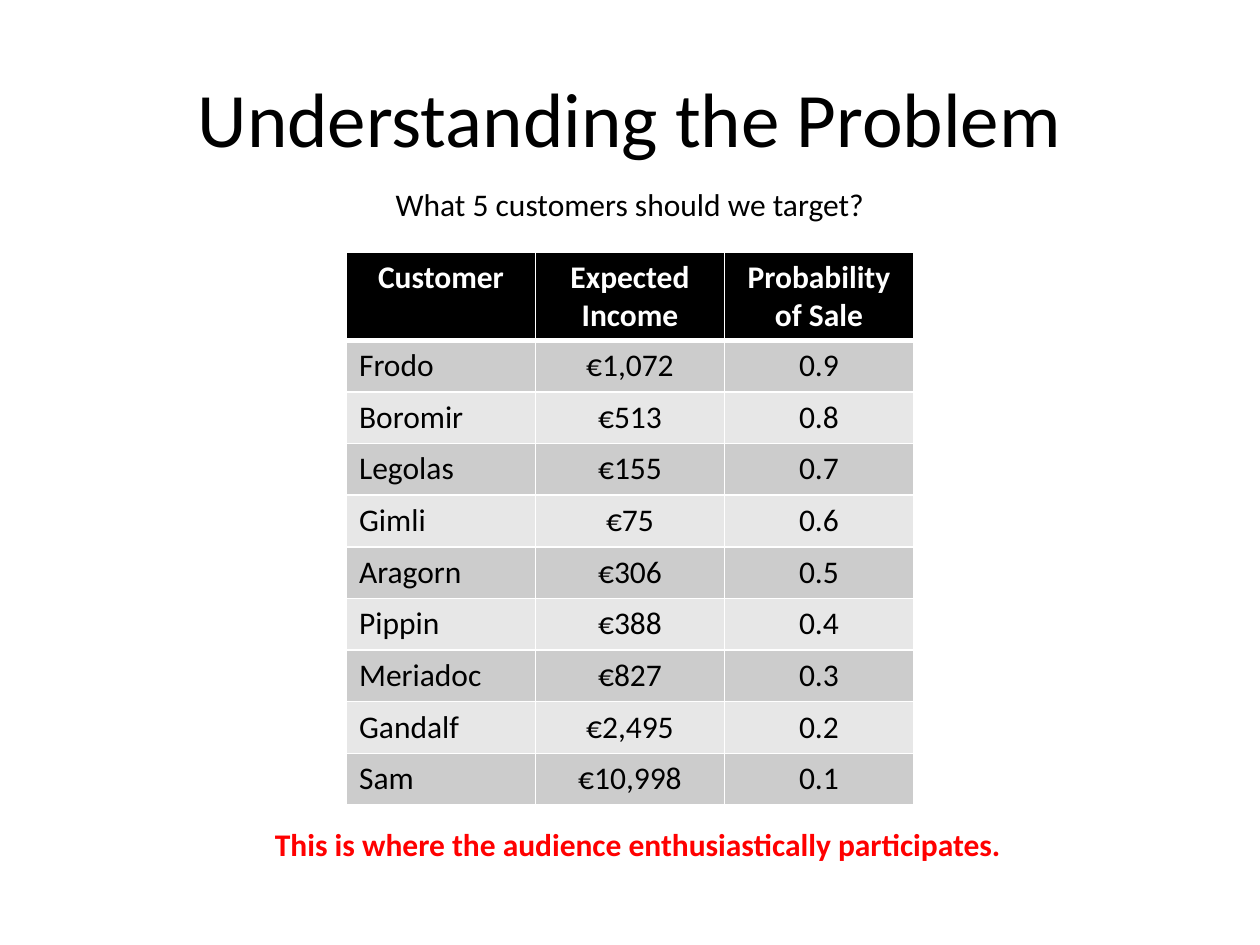
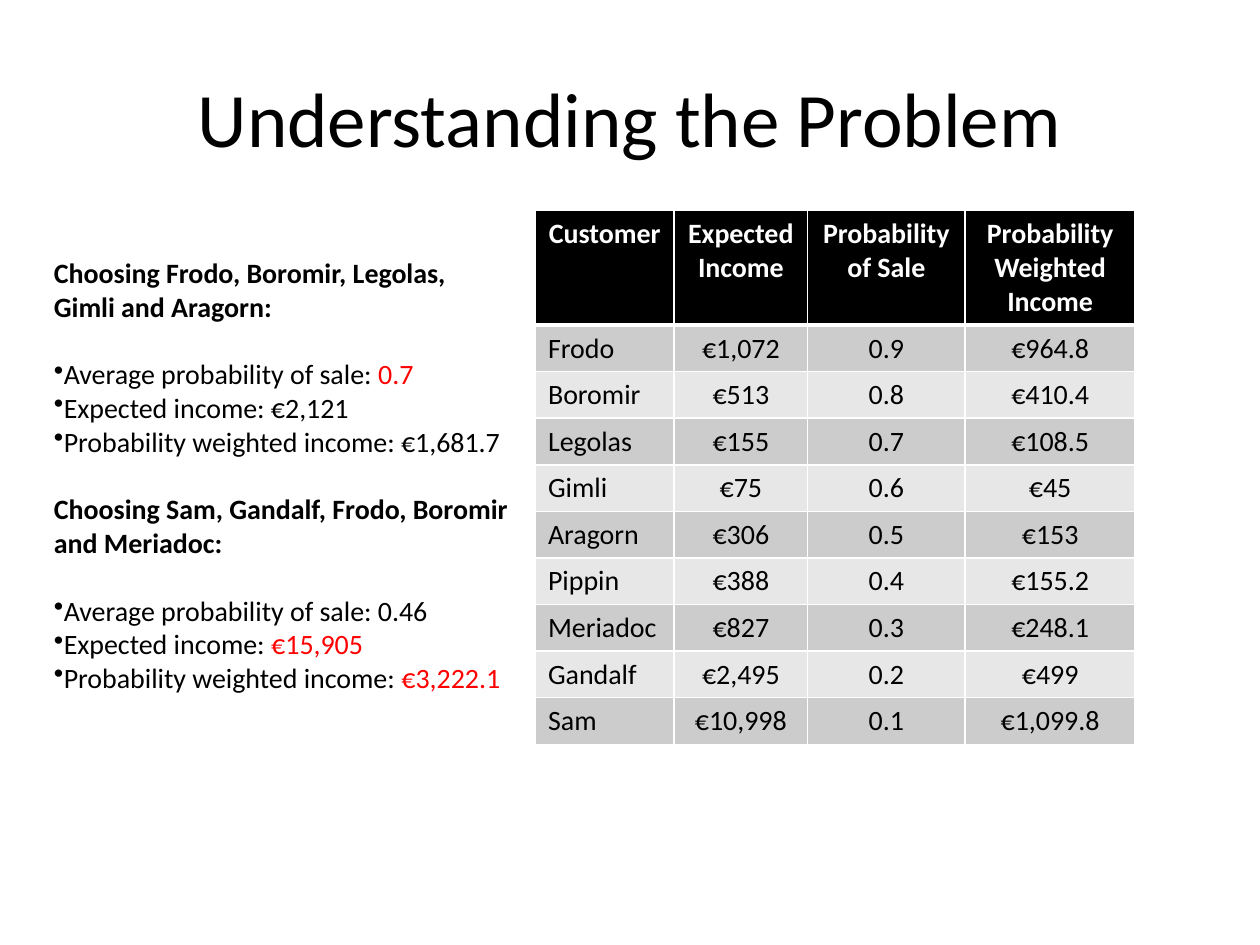
from lxml import etree
from pptx import Presentation
from pptx.dml.color import RGBColor
from pptx.enum.text import MSO_ANCHOR, PP_ALIGN
from pptx.oxml.ns import qn
from pptx.util import Inches, Pt

FONT = "Calibri"
BLACK, WHITE, RED = "000000", "FFFFFF", "FF0000"
BANDS = ("CCCCCC", "E7E7E7")
TITLE = "Understanding the Problem"
QUESTION = "What 5 customers should we target?"
PROMPT = "This is where the audience enthusiastically participates."

HEADINGS = ("Customer", "Expected Income", "Probability of Sale",
            "Probability Weighted Income")
CUSTOMERS = [
    ("Frodo", "€1,072", "0.9", "€964.8"),
    ("Boromir", "€513", "0.8", "€410.4"),
    ("Legolas", "€155", "0.7", "€108.5"),
    ("Gimli", "€75", "0.6", "€45"),
    ("Aragorn", "€306", "0.5", "€153"),
    ("Pippin", "€388", "0.4", "€155.2"),
    ("Meriadoc", "€827", "0.3", "€248.1"),
    ("Gandalf", "€2,495", "0.2", "€499"),
    ("Sam", "€10,998", "0.1", "€1,099.8"),
]

MEASURES = ("Average probability of sale: ", "Expected income: ",
            "Probability weighted income: ")
# Each choice: heading, then a (value, colour) pair for every measure
CHOICES = [
    ("Choosing Frodo, Boromir, Legolas, Gimli and Aragorn:",
     [("0.7", RED), ("€2,121", BLACK), ("€1,681.7", BLACK)]),
    ("Choosing Sam, Gandalf, Frodo, Boromir and Meriadoc:",
     [("0.46", BLACK), ("€15,905", RED), ("€3,222.1", RED)]),
]
CHOICE_SIZE = 16
BLANK_LINE = Pt(19.5)


def rgb(colour):
    return RGBColor.from_string(colour)


def add_span(para, text, size, colour=BLACK, bold=False):
    span = para.add_run()
    span.text = text
    span.font.name = FONT
    span.font.size = Pt(size)
    span.font.bold = bold
    span.font.color.rgb = rgb(colour)


def add_box(page, left, top, width, height, wrap=True):
    box = page.shapes.add_textbox(Inches(left), Inches(top),
                                  Inches(width), Inches(height))
    box.text_frame.word_wrap = wrap
    return box.text_frame


def add_line(page, place, text, size, colour=BLACK, bold=False, wrap=False):
    """Add one centred line of text in its own box."""
    frame = add_box(page, *place, wrap=wrap)
    frame.vertical_anchor = MSO_ANCHOR.MIDDLE
    para = frame.paragraphs[0]
    para.alignment = PP_ALIGN.CENTER
    add_span(para, text, size, colour, bold)


def add_page(deck):
    """Add a blank page with the shared title."""
    page = deck.slides.add_slide(deck.slide_layouts[6])
    add_line(page, (0.5, 0.3, 9, 1.25), TITLE, 44, wrap=True)
    return page


def set_borders(cell, top, bottom):
    properties = cell._tc.get_or_add_tcPr()
    for side, width in (("L", 1), ("R", 1), ("T", top), ("B", bottom)):
        line = etree.SubElement(properties, qn(f"a:ln{side}"), w=str(Pt(width)))
        fill = etree.SubElement(line, qn("a:solidFill"))
        etree.SubElement(fill, qn("a:srgbClr"), val=WHITE)


def add_customer_table(page, left, top, widths, header_height, row_height, size):
    """Add the customer table with as many columns as there are widths."""
    rows = [HEADINGS] + CUSTOMERS
    height = header_height + row_height * len(CUSTOMERS)
    table = page.shapes.add_table(
        len(rows), len(widths), Inches(left), Inches(top),
        Inches(sum(widths)), Inches(height)).table
    for column, width in zip(table.columns, widths):
        column.width = Inches(width)
    for r, values in enumerate(rows):
        header = r == 0
        table.rows[r].height = Inches(header_height if header else row_height)
        for c, value in enumerate(values[:len(widths)]):
            cell = table.cell(r, c)
            set_borders(cell, top=3 if r == 1 else 1, bottom=3 if header else 1)
            cell.fill.solid()
            cell.fill.fore_color.rgb = rgb(BLACK if header else BANDS[(r - 1) % 2])
            para = cell.text_frame.paragraphs[0]
            para.alignment = PP_ALIGN.CENTER if header or c else PP_ALIGN.LEFT
            add_span(para, value, size, WHITE if header else BLACK, header)


def add_bullet(para):
    properties = para._p.get_or_add_pPr()
    properties.set("marL", "0")
    properties.set("indent", "0")
    etree.SubElement(properties, qn("a:buChar"), char="•")


def add_choices(page):
    frame = add_box(page, 0.33, 1.98, 3.83, 3.6)
    for number, (heading, results) in enumerate(CHOICES):
        para = frame.add_paragraph() if number else frame.paragraphs[0]
        if number:
            para.space_before = BLANK_LINE
        para.space_after = BLANK_LINE
        add_span(para, heading, CHOICE_SIZE, bold=True)
        for measure, (value, colour) in zip(MEASURES, results):
            para = frame.add_paragraph()
            add_bullet(para)
            add_span(para, measure, CHOICE_SIZE)
            add_span(para, value, CHOICE_SIZE, colour)


def main():
    deck = Presentation()
    deck.slide_width, deck.slide_height = Inches(10), Inches(7.5)

    page = add_page(deck)
    add_customer_table(page, 2.75, 2, [1.5] * 3, 0.7, 0.41, 18)
    add_line(page, (3.02, 1.42, 3.96, 0.4), QUESTION, 18)
    add_line(page, (2.06, 6.5, 6.01, 0.4), PROMPT, 18, RED, bold=True)

    page = add_page(deck)
    add_customer_table(page, 4.25, 1.67, [1.1, 1.06, 1.25, 1.35], 0.91, 0.37, 16)
    add_choices(page)

    deck.save("out.pptx")


if __name__ == "__main__":
    main()
